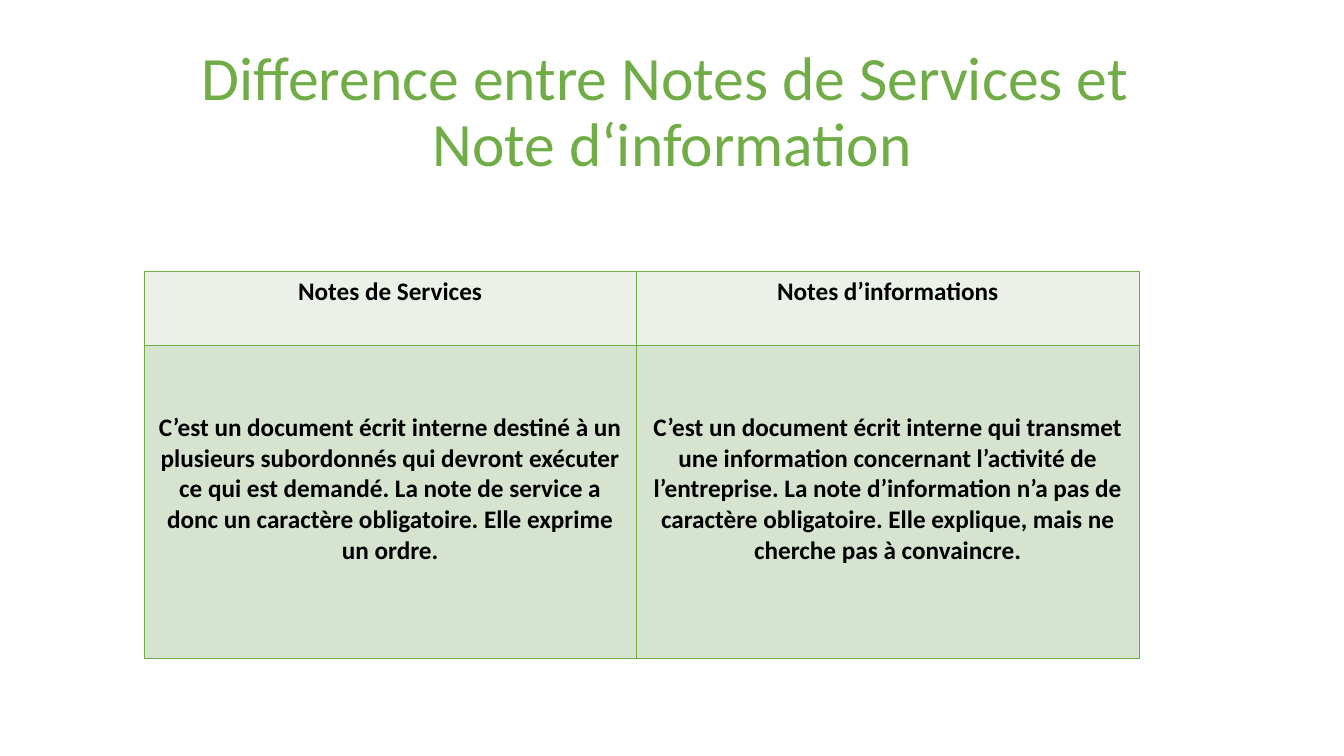
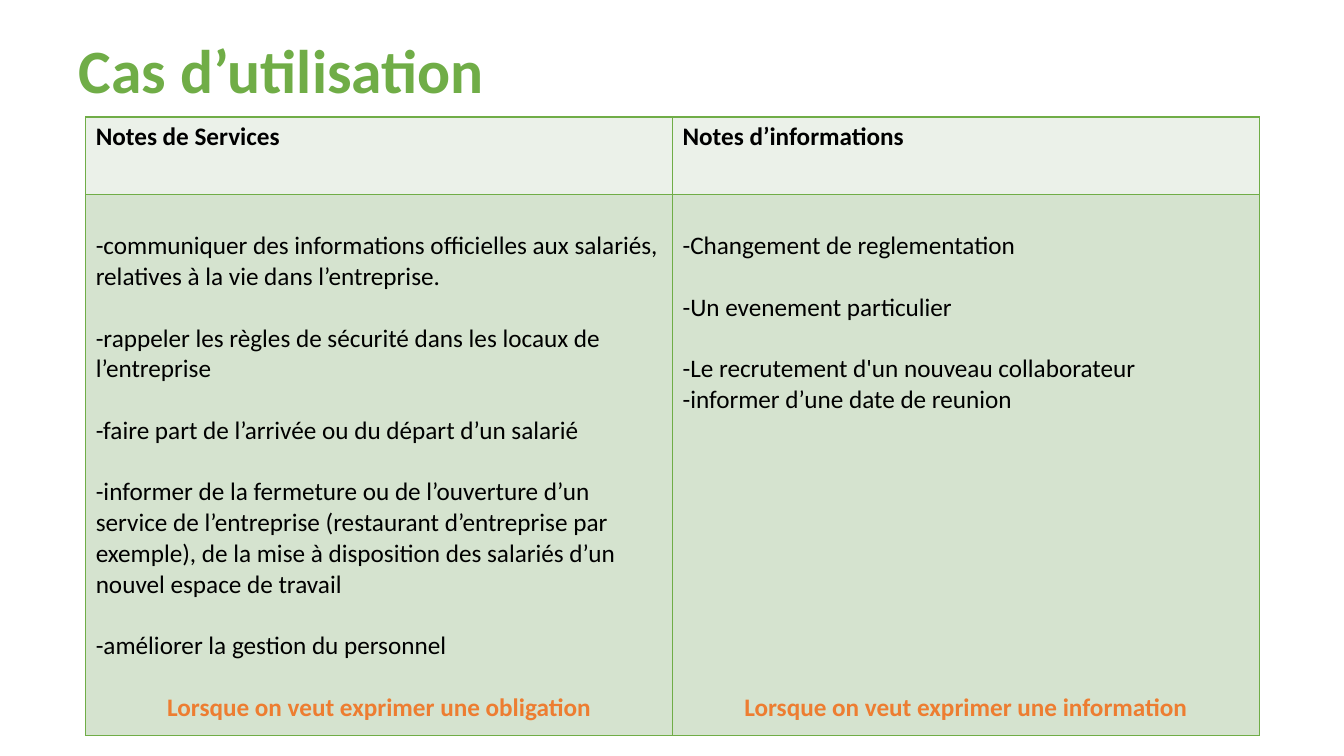
"""Build two slides comparing service notes with information notes."""

import dataclasses
import typing

import lxml.etree
import pptx
import pptx.dml.color
import pptx.enum.text
import pptx.oxml.ns
import pptx.presentation
import pptx.table
import pptx.text.text
import pptx.util

Inches = pptx.util.Inches
Pt = pptx.util.Pt
Align = pptx.enum.text.PP_ALIGN


@dataclasses.dataclass(frozen=True)
class Theme:
    font: str = "Calibri"
    title_size: int = 44
    body_size: int = 18
    green: str = "70AD47"
    orange: str = "ED7D31"
    black: str = "000000"
    header_fill: str = "EBF1E9"
    body_fill: str = "D5E3CF"
    border_width: float = 1
    line_height: float = 22
    cell_margin: float = 0.05


THEME = Theme()


@dataclasses.dataclass(frozen=True)
class Line:
    text: str
    bold: bool = False
    color: str = THEME.black
    align: Align = Align.LEFT
    blank_lines: int = 0


@dataclasses.dataclass(frozen=True)
class Column:
    header: str
    width: float
    lines: tuple[Line, ...]


@dataclasses.dataclass(frozen=True)
class ComparisonSlide:
    title: str
    title_position: tuple[float, float]
    title_bold: bool
    align: Align
    table_position: tuple[float, float]
    row_heights: tuple[float, float]
    body_top_margin: float
    columns: tuple[Column, ...]


def item(text: str, blank_lines: int = 1) -> Line:
    return Line(text, blank_lines=blank_lines)


def conclusion(text: str, blank_lines: int) -> Line:
    return Line(text, True, THEME.orange, Align.CENTER, blank_lines)


def definition(text: str) -> Line:
    return Line(text, bold=True, align=Align.CENTER)


SLIDES = (
    ComparisonSlide(
        title="Difference entre Notes de Services et \vNote d‘information",
        title_position=(0.92, 0.4),
        title_bold=False,
        align=Align.CENTER,
        table_position=(1.43, 2.69),
        row_heights=(0.74, 3.1),
        body_top_margin=0.66,
        columns=(
            Column("Notes de Services", 4.88, (definition(
                "C’est un document écrit interne destiné à un plusieurs subordonnés "
                "qui devront exécuter ce qui est demandé. La note de service a "
                "donc un caractère obligatoire. Elle exprime un ordre."),)),
            Column("Notes d’informations", 4.99, (definition(
                "C’est un document écrit interne qui transmet une information "
                "concernant l’activité de l’entreprise. La note d’information n’a pas "
                "de caractère obligatoire. Elle explique, mais ne cherche pas à "
                "convaincre."),)),
        ),
    ),
    ComparisonSlide(
        title="Cas d’utilisation",
        title_position=(0.68, 0),
        title_bold=True,
        align=Align.LEFT,
        table_position=(0.85, 1.16),
        row_heights=(0.77, 5.37),
        body_top_margin=0.36,
        columns=(
            Column("Notes de Services", 5.82, (
                item("-communiquer des informations officielles aux salariés, "
                     "relatives à la vie dans l’entreprise. ", 0),
                item("-rappeler les règles de sécurité dans les locaux de l’entreprise"),
                item("-faire part de l’arrivée ou du départ d’un salarié"),
                item("-informer de la fermeture ou de l’ouverture d’un service de "
                     "l’entreprise (restaurant d’entreprise par exemple), de la mise à "
                     "disposition des salariés d’un nouvel espace de travail"),
                item("-améliorer la gestion du personnel"),
                conclusion("Lorsque on veut exprimer une obligation", 1),
            )),
            Column("Notes d’informations", 5.82, (
                item("-Changement de reglementation", 0),
                item("-Un evenement particulier"),
                item("-Le recrutement d'un nouveau collaborateur"),
                item("-informer d’une date de reunion", 0),
                conclusion("Lorsque on veut exprimer une information", 9),
            )),
        ),
    ),
)


def write_text(paragraph: pptx.text.text._Paragraph, text: str, *,
               size: float = THEME.body_size, color: str = THEME.black,
               bold: bool = False, align: Align = Align.LEFT,
               space_before: float = 0, line_spacing: float = 1.0) -> None:
    paragraph.text = text
    paragraph.alignment = align
    paragraph.space_before = Pt(space_before)
    paragraph.line_spacing = line_spacing
    for run in paragraph.runs:
        run.font.name = THEME.font
        run.font.size = Pt(size)
        run.font.bold = bold
        run.font.color.rgb = pptx.dml.color.RGBColor.from_string(color)


def draw_borders(cell: pptx.table._Cell) -> None:
    properties = cell._tc.get_or_add_tcPr()
    for index, side in enumerate(("lnL", "lnR", "lnT", "lnB")):
        border = lxml.etree.Element(pptx.oxml.ns.qn(f"a:{side}"),
                                    w=str(int(Pt(THEME.border_width))))
        fill = lxml.etree.SubElement(border, pptx.oxml.ns.qn("a:solidFill"))
        lxml.etree.SubElement(fill, pptx.oxml.ns.qn("a:srgbClr"), val=THEME.green)
        properties.insert(index, border)


def fill_cell(cell: pptx.table._Cell, lines: typing.Sequence[Line], fill: str,
              top_margin: float = THEME.cell_margin) -> None:
    cell.fill.solid()
    cell.fill.fore_color.rgb = pptx.dml.color.RGBColor.from_string(fill)
    cell.margin_top = Inches(top_margin)
    draw_borders(cell)
    frame = cell.text_frame
    for index, line in enumerate(lines):
        paragraph = frame.add_paragraph() if index else frame.paragraphs[0]
        write_text(paragraph, line.text, color=line.color, bold=line.bold,
                   align=line.align,
                   space_before=line.blank_lines * THEME.line_height)


def add_comparison(presentation: pptx.presentation.Presentation,
                   content: ComparisonSlide) -> None:
    slide = presentation.slides.add_slide(presentation.slide_layouts[5])
    title = slide.shapes.title
    title.left, title.top = map(Inches, content.title_position)
    title.width, title.height = Inches(11.5), Inches(1.45)
    frame = title.text_frame
    frame.auto_size = pptx.enum.text.MSO_AUTO_SIZE.NONE
    frame.vertical_anchor = pptx.enum.text.MSO_ANCHOR.MIDDLE
    write_text(frame.paragraphs[0], content.title, size=THEME.title_size,
               color=THEME.green, bold=content.title_bold, align=content.align,
               line_spacing=0.9)

    left, top = map(Inches, content.table_position)
    width = Inches(sum(column.width for column in content.columns))
    table = slide.shapes.add_table(2, len(content.columns), left, top, width,
                                   Inches(sum(content.row_heights))).table
    table.first_row = table.horz_banding = False
    for row, height in zip(table.rows, content.row_heights):
        row.height = Inches(height)
    for index, column in enumerate(content.columns):
        table.columns[index].width = Inches(column.width)
        header = Line(column.header, bold=True, align=content.align)
        fill_cell(table.cell(0, index), (header,), THEME.header_fill)
        fill_cell(table.cell(1, index), column.lines, THEME.body_fill,
                  content.body_top_margin)


def main() -> None:
    presentation = pptx.Presentation()
    presentation.slide_width = Inches(13.33)
    presentation.slide_height = Inches(7.5)
    for content in SLIDES:
        add_comparison(presentation, content)
    presentation.save("out.pptx")


if __name__ == "__main__":
    main()
